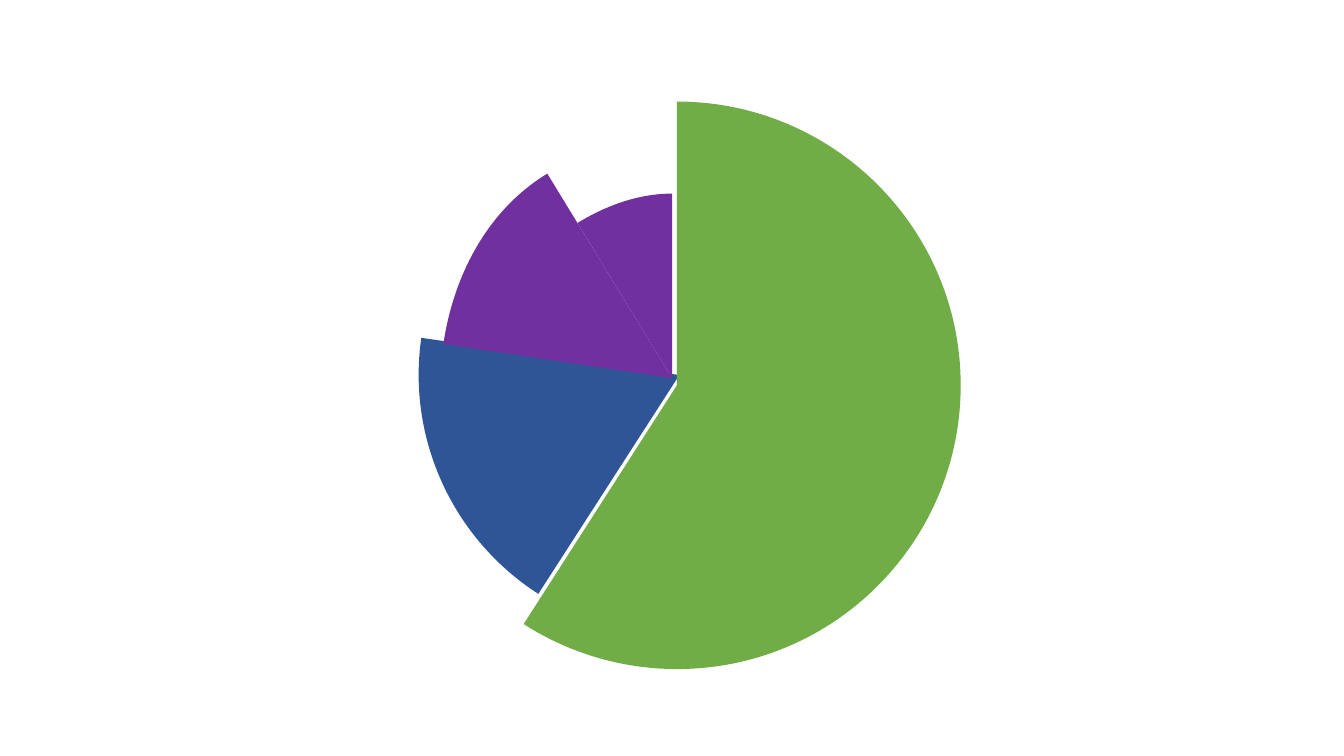
from math import cos, radians, sin, tan

from lxml import etree
from pptx import Presentation
from pptx.dml.color import RGBColor
from pptx.oxml import ns
from pptx.util import Cm

COLORS = {"blue": "2F5597", "green": "70AD47", "purple": "7030A0"}

# colour, centre offset (cm), start and end radius (cm), angles of the curve ends
SECTORS = [
    ("blue", (0.18, -0.08), (6.56, 6.57), (122.8, 188.2)),
    ("green", (0.12, 0.18), (7.15, 7.15), (-90, 0, 90, 122.7)),
    ("purple", (0, 0), (5.83, 6.04), (188.5, 238.6)),
    ("purple", (0, 0), (4.58, 4.65), (238.6, 270)),
]


def arc_point(cx, cy, r, angle, pull=0):
    """Return a point on the arc, moved along its tangent by pull radii."""
    a = radians(angle)
    x = cx + r * (cos(a) - pull * sin(a))
    y = cy + r * (sin(a) + pull * cos(a))
    return Cm(x), Cm(y)


def bend_segments(sp, count):
    """Turn the first count triples of straight segments into Bezier curves."""
    lines = list(sp._element.iter(ns.qn("a:lnTo")))
    for i in range(0, 3 * count, 3):
        curve = etree.Element(ns.qn("a:cubicBezTo"))
        lines[i].addprevious(curve)
        for line in lines[i:i + 3]:
            curve.append(line[0])
            line.getparent().remove(line)


def add_sector(s, cx, cy, radii, angles, color):
    """Draw one filled sector with a curve between neighbouring angles."""
    r0, r1 = radii
    start = arc_point(cx, cy, r0, angles[0])
    points = []
    for a0, a1 in zip(angles, angles[1:]):
        pull = 4 / 3 * tan(radians(a1 - a0) / 4)
        points += [arc_point(cx, cy, r0, a0, pull),
                   arc_point(cx, cy, r1, a1, -pull),
                   arc_point(cx, cy, r1, a1)]
    builder = s.shapes.build_freeform(*start)
    builder.add_line_segments(points + [(Cm(cx), Cm(cy)), start], close=True)
    sp = builder.convert_to_shape()
    bend_segments(sp, len(angles) - 1)
    sp.shadow.inherit = False
    sp.fill.solid()
    sp.fill.fore_color.rgb = RGBColor.from_string(COLORS[color])
    sp.line.fill.background()


def add_pie(s, left, top, width, height):
    """Draw all sectors around the middle of the given box, in cm."""
    cx, cy = left + width / 2, top + height / 2
    for color, (dx, dy), radii, angles in SECTORS:
        add_sector(s, cx + dx, cy + dy, radii, angles, color)


def main():
    """Build the slide and save it."""
    prs = Presentation()
    prs.slide_width, prs.slide_height = Cm(33.87), Cm(19.05)
    s = prs.slides.add_slide(prs.slide_layouts[6])
    add_pie(s, 9.94, 2.53, 14, 14)
    prs.save("out.pptx")


if __name__ == "__main__":
    main()
